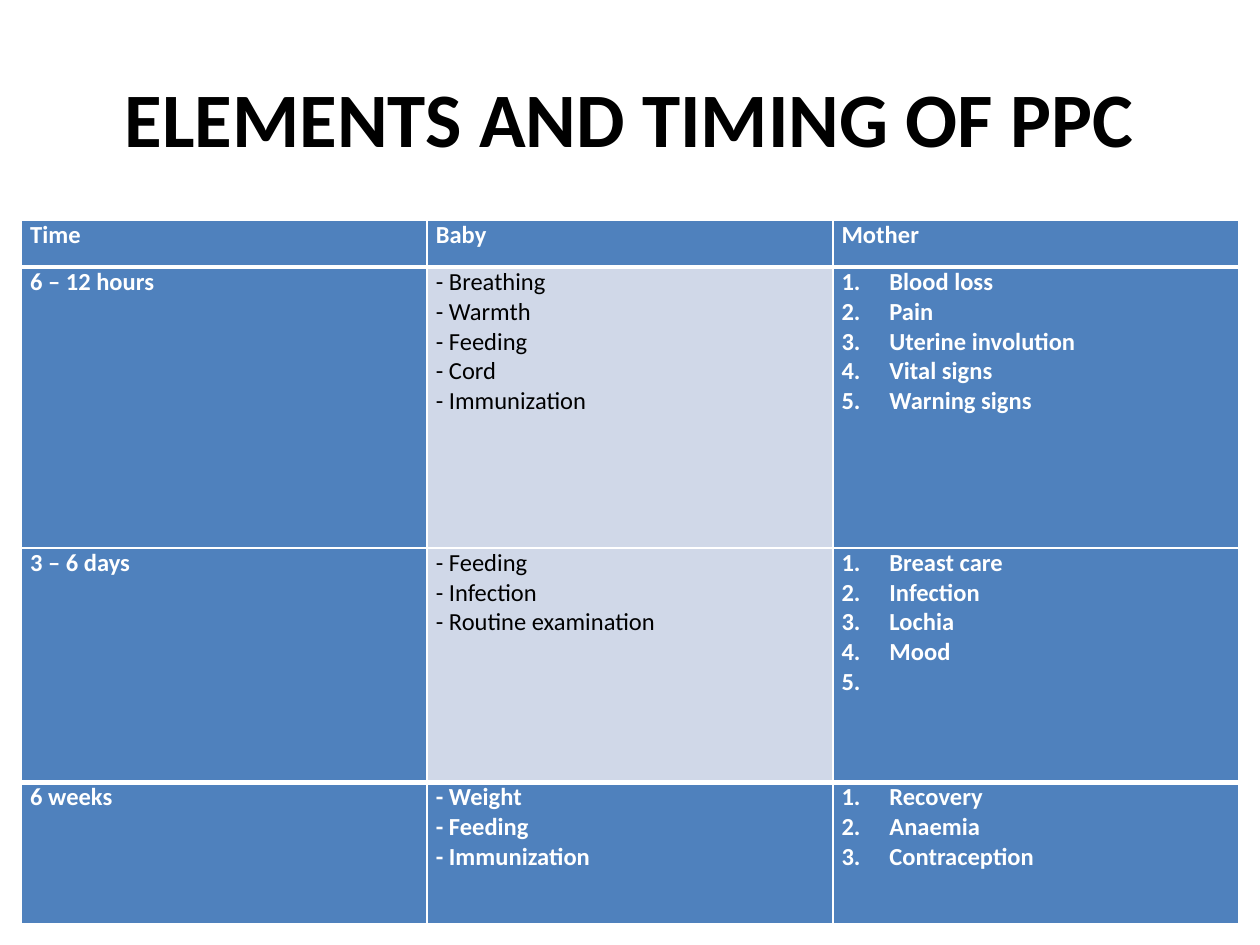
from lxml.etree import SubElement
from pptx import Presentation
from pptx.dml.color import RGBColor as RGB
from pptx.enum.text import MSO_ANCHOR as Anchor, PP_ALIGN as Align
from pptx.oxml import parse_xml
from pptx.oxml.ns import nsdecls, qn
from pptx.util import Inches, Pt

COLORS = {"blue": "4F81BD", "pale": "D0D8E8", "white": "FFFFFF", "black": "000000"}
FONT = "Calibri"


def style(para, size, color, bold):
    font = para.font
    font.name, font.size, font.bold = FONT, Pt(size), bold
    font.color.rgb = RGB.from_string(COLORS[color])


def border(cell, widths):
    # Border lines come before the fill in the cell properties
    props = cell._tc.get_or_add_tcPr()
    for i, (side, width) in enumerate(zip("LRTB", widths)):
        props.insert(i, parse_xml(
            f'<a:ln{side} {nsdecls("a")} w="{Pt(width)}"><a:solidFill>'
            f'<a:srgbClr val="{COLORS["white"]}"/></a:solidFill></a:ln{side}>'))


prs = Presentation()
prs.slide_width, prs.slide_height = Inches(10), Inches(7.5)
slide = prs.slides.add_slide(prs.slide_layouts[6])

# Title
box = slide.shapes.add_textbox(Inches(0.5), Inches(0.3), Inches(9), Inches(1.25))
frame = box.text_frame
frame.word_wrap = True
frame.vertical_anchor = Anchor.MIDDLE
title = frame.paragraphs[0]
title.text = "ELEMENTS AND TIMING OF PPC"
title.alignment = Align.CENTER
style(title, 44, "black", True)

# Table content: time, baby, mother; the blank last item shows only its number
rows = [
    (["Time"], ["Baby"], ["Mother"]),
    (["6 – 12 hours"],
     ["- Breathing", "- Warmth", "- Feeding", "- Cord", "- Immunization"],
     ["Blood loss", "Pain", "Uterine involution", "Vital signs", "Warning signs"]),
    (["3 – 6 days"],
     ["- Feeding", "- Infection", "- Routine examination"],
     ["Breast care", "Infection", "Lochia", "Mood", " "]),
    (["6 weeks"],
     ["- Weight", "- Feeding", "- Immunization"],
     ["Recovery", "Anaemia", "Contraception"]),
]
heights = [0.37, 2.23, 1.86, 1.12]
last = len(rows) - 1

# Table
table = slide.shapes.add_table(len(rows), 3, Inches(0.17), Inches(1.75),
                               Inches(9.66), Inches(sum(heights))).table
for col in table.columns:
    col.width = Inches(3.22)

for r, (row, height) in enumerate(zip(rows, heights)):
    table.rows[r].height = Inches(height)
    top = 3 if r in (1, last) else 1
    bottom = 3 if r in (0, last - 1) else 1
    for c, lines in enumerate(row):
        cell = table.cell(r, c)
        plain = c == 1 and 0 < r < last
        cell.margin_left = cell.margin_right = Inches(0.07)
        cell.margin_top = cell.margin_bottom = 0
        cell.fill.solid()
        cell.fill.fore_color.rgb = RGB.from_string(COLORS["pale" if plain else "blue"])
        border(cell, (1, 1, top, bottom))

        cell.text = "\n".join(lines)
        for para in cell.text_frame.paragraphs:
            if c == 2 and r > 0:
                props = para._p.get_or_add_pPr()
                props.set("marL", str(Inches(0.38)))
                props.set("indent", str(-Inches(0.38)))
                SubElement(props, qn("a:buFont"), typeface="+mj-lt")
                SubElement(props, qn("a:buAutoNum"), type="arabicPeriod")
            style(para, 14, "black" if plain else "white", not plain)

prs.save("out.pptx")
